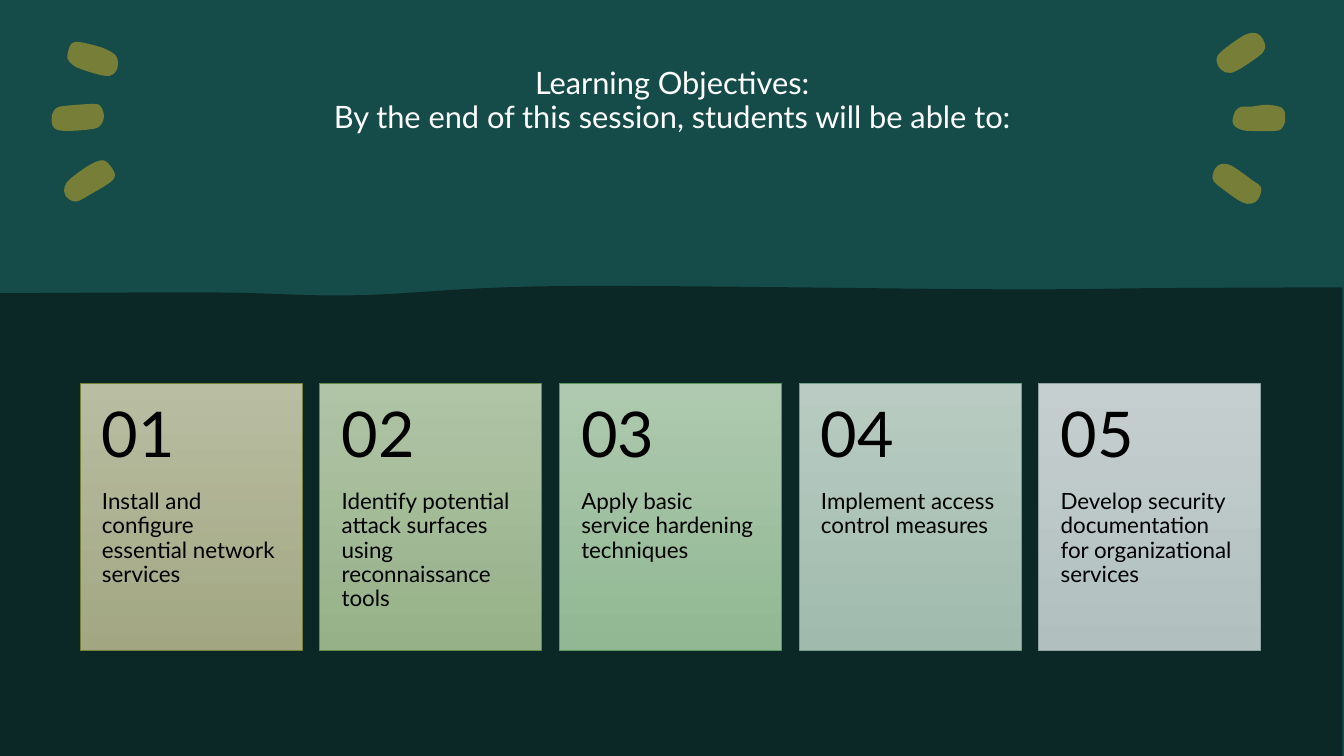
from copy import deepcopy
from dataclasses import dataclass

from pptx import Presentation
from pptx.dml.color import RGBColor
from pptx.enum.shapes import MSO_SHAPE
from pptx.enum.text import MSO_ANCHOR, PP_ALIGN
from pptx.oxml.ns import qn
from pptx.util import Cm, Pt

RECTANGLE = MSO_SHAPE.RECTANGLE
TOP, MIDDLE = MSO_ANCHOR.TOP, MSO_ANCHOR.MIDDLE
LEFT, CENTER = PP_ALIGN.LEFT, PP_ALIGN.CENTER


@dataclass(frozen=True)
class Theme:
    font: str = "Lato"
    dark: str = "0B2827"
    teal: str = "154C4A"
    olive: str = "767E37"
    light: str = "FFFFFF"
    ink: str = "000000"
    title_size: int = 22
    number_size: int = 45
    body_size: int = 16


THEME = Theme()
# All lengths are in centimetres
PAGE_WIDTH, PAGE_HEIGHT = 33.87, 19.05
CARD_LEFT, CARD_TOP, CARD_PITCH = 2.02, 9.67, 6.04
CARD_WIDTH, CARD_HEIGHT, NUMBER_HEIGHT = 5.59, 6.71, 2.69

TITLE = "Learning Objectives:\vBy the end of this session, students will be able to:"

# Objective, gradient top, gradient bottom, border
OBJECTIVES = [
    ("Install and configure essential network services", "B9BDA2", "A2A782", "767E37"),
    ("Identify potential attack surfaces using reconnaissance tools",
     "B0C4A6", "96B188", "648C48"),
    ("Apply basic service hardening techniques", "AEC9AF", "91B892", "5C985F"),
    ("Implement access control measures", "B9CBC2", "A0BBAE", "759E8B"),
    ("Develop security documentation for organizational services",
     "C6CFCF", "B1BFBF", "8FA3A3"),
]

# Points that each brush dash passes through: left side, then right side
DASHES = [
    [(2.77, 4.6), (2.31, 4.88), (1.91, 5.08), (1.65, 4.93), (1.63, 4.7), (1.78, 4.5),
     (2.13, 4.24), (2.39, 4.09), (2.62, 4.04), (2.79, 4.19), (2.9, 4.42)],
    [(2.34, 3.25), (1.68, 3.3), (1.37, 3.23), (1.3, 2.97), (1.4, 2.74),
     (1.63, 2.67), (2.36, 2.62), (2.54, 2.69), (2.62, 2.92), (2.54, 3.15)],
    [(2.06, 1.07), (1.85, 1.07), (1.75, 1.19), (1.7, 1.47), (1.83, 1.63), (2.01, 1.73),
     (2.49, 1.88), (2.77, 1.91), (2.92, 1.8), (2.97, 1.65), (2.95, 1.45), (2.82, 1.32),
     (2.54, 1.19)],
    [(32.13, 3.3), (31.5, 3.3), (31.32, 3.28), (31.14, 3.2), (31.06, 3.05),
     (31.14, 2.79), (31.29, 2.69), (31.52, 2.69), (31.93, 2.64), (32.31, 2.72),
     (32.39, 2.9), (32.39, 3.05), (32.31, 3.23)],
    [(30.78, 1.3), (31.12, 1.04), (31.42, 0.86), (31.67, 0.84), (31.83, 0.99),
     (31.88, 1.22), (31.72, 1.42), (31.17, 1.78), (30.91, 1.83), (30.71, 1.68),
     (30.66, 1.47)],
    [(30.58, 4.55), (30.56, 4.42), (30.63, 4.24), (30.76, 4.14), (30.94, 4.14),
     (31.14, 4.24), (31.57, 4.55), (31.78, 4.72), (31.72, 5),
     (31.55, 5.13), (31.27, 5.08), (30.73, 4.7)],
]
WAVE = [(0, 7.39), (5.41, 7.37), (8.97, 7.44), (14.15, 7.21),
        (25.07, 7.29), (29.29, 7.26), (33.83, 7.24)]


def color(value):
    return RGBColor.from_string(value)


def bend_lines(shape, count, closed):
    """Turn the first straight segments of a freeform into smooth curves."""
    nodes = shape.element.findall(".//" + qn("a:pt"))[:count + 1]
    points = [(int(node.get("x")), int(node.get("y"))) for node in nodes]
    before, after = (points[-2], points[1]) if closed else (points[0], points[-1])
    padded = [before, *points, after]
    for node, a, b, c, d in zip(nodes[1:], padded, padded[1:], padded[2:], padded[3:]):
        segment = node.getparent()
        segment.tag = qn("a:cubicBezTo")
        for position, (base, start, end) in enumerate([(b, a, c), (c, d, b)]):
            control = deepcopy(node)
            for axis, origin, first, last in zip("xy", base, start, end):
                control.set(axis, str(round(origin + (last - first) / 6)))
            segment.insert(position, control)


def add_outline(page, points, fill, corners=()):
    """Draw a smooth outline, closed by straight lines if it has corners."""
    curve = list(points) if corners else [*points, points[0]]
    vertices = [(Cm(x), Cm(y)) for x, y in [*curve, *corners]]
    builder = page.shapes.build_freeform(*vertices[0])
    builder.add_line_segments(vertices[1:], close=True)
    shape = builder.convert_to_shape()
    bend_lines(shape, len(curve) - 1, closed=not corners)
    shape.shadow.inherit = False
    shape.fill.solid()
    shape.fill.fore_color.rgb = color(fill)
    shape.line.fill.background()


def add_rectangle(page, left, top, width, height, fill, fill_end=None, border=None):
    box = page.shapes.add_shape(RECTANGLE, Cm(left), Cm(top), Cm(width), Cm(height))
    box.shadow.inherit = False
    if fill_end:
        box.fill.gradient()
        box.fill.gradient_angle = 270
        for stop, value in zip(box.fill.gradient_stops, (fill, fill_end)):
            stop.color.rgb = color(value)
    else:
        box.fill.solid()
        box.fill.fore_color.rgb = color(fill)
    if border:
        box.line.color.rgb = color(border)
        box.line.width = Pt(0.5)
    else:
        box.line.fill.background()


def add_text(page, text, left, top, width, height, *, size, fill=THEME.ink,
             align=LEFT, anchor=TOP, insets=(0, 0, 0, 0)):
    box = page.shapes.add_textbox(Cm(left), Cm(top), Cm(width), Cm(height))
    frame = box.text_frame
    frame.word_wrap = True
    frame.vertical_anchor = anchor
    (frame.margin_left, frame.margin_top,
     frame.margin_right, frame.margin_bottom) = map(Cm, insets)
    para = frame.paragraphs[0]
    para.text = text
    para.alignment = align
    para.line_spacing = 0.9
    for span in para.runs:
        span.font.name = THEME.font
        span.font.size = Pt(size)
        span.font.color.rgb = color(fill)


def add_card(page, index, objective, fill, fill_end, border):
    left = CARD_LEFT + index * CARD_PITCH
    add_rectangle(page, left, CARD_TOP, CARD_WIDTH, CARD_HEIGHT, fill, fill_end, border)
    add_text(page, objective, left, CARD_TOP + NUMBER_HEIGHT, CARD_WIDTH,
             CARD_HEIGHT - NUMBER_HEIGHT, size=THEME.body_size,
             insets=(0.55, 0, 0.55, 0.91))
    add_text(page, f"{index + 1:02}", left, CARD_TOP, CARD_WIDTH, NUMBER_HEIGHT,
             size=THEME.number_size, anchor=MIDDLE, insets=(0.55, 0.46, 0.55, 0.46))


def main():
    deck = Presentation()
    deck.slide_width, deck.slide_height = Cm(PAGE_WIDTH), Cm(PAGE_HEIGHT)
    page = deck.slides.add_slide(deck.slide_layouts[6])
    page.background.fill.solid()
    page.background.fill.fore_color.rgb = color(THEME.dark)

    # Teal header with its title
    add_rectangle(page, 0, 0, PAGE_WIDTH, PAGE_HEIGHT, THEME.teal)
    add_text(page, TITLE, 4.67, 1.72, 24.54, 1.9, size=THEME.title_size,
             fill=THEME.light, align=CENTER)

    # Brush dashes on both sides
    for dash in DASHES:
        add_outline(page, dash, THEME.olive)

    # Dark lower part with a wavy top edge
    right = WAVE[-1][0]
    add_outline(page, WAVE, THEME.dark, corners=[(right, PAGE_HEIGHT), (0, PAGE_HEIGHT)])

    # Numbered objective cards
    for index, card in enumerate(OBJECTIVES):
        add_card(page, index, *card)

    deck.save("out.pptx")


if __name__ == "__main__":
    main()
